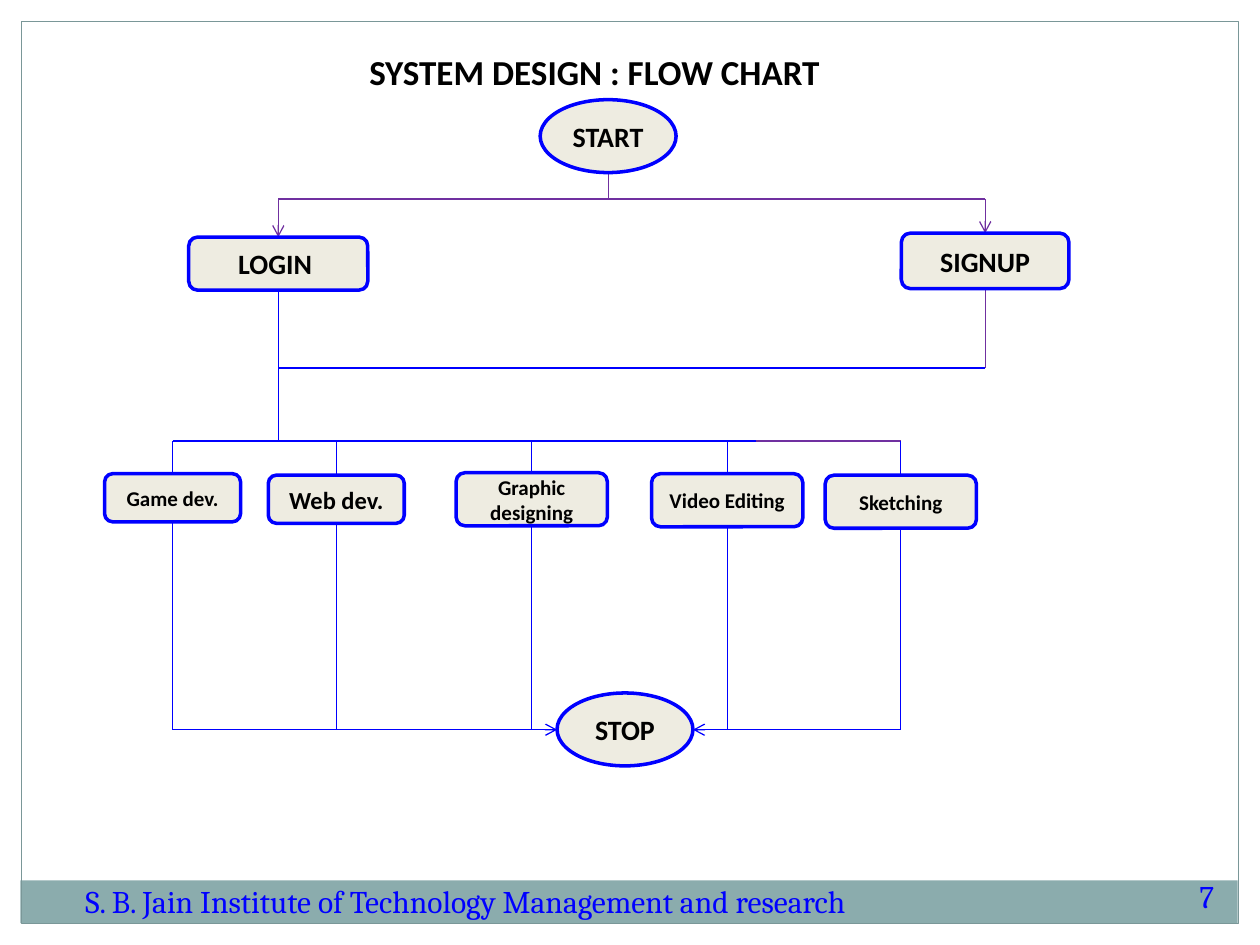
import pptx
import pptx.dml.color
import pptx.enum.shapes
import pptx.enum.text
import pptx.util
from lxml import etree
from pptx.oxml.ns import qn

Cm = pptx.util.Cm
Pt = pptx.util.Pt
SHAPES = pptx.enum.shapes.MSO_SHAPE
ALIGN = pptx.enum.text.PP_ALIGN
ANCHOR = pptx.enum.text.MSO_ANCHOR
BLUE, PURPLE, CREAM, BLACK = "0000FF", "7030A0", "EEECE1", "000000"


def colour(value):
    return pptx.dml.color.RGBColor.from_string(value)


class FlowPage:
    def __init__(self, deck):
        self.page = deck.slides.add_slide(deck.slide_layouts[5])

    def label(self, frame, text, size, font="Calibri", ink=BLACK, bold=True, align=ALIGN.LEFT):
        para = frame.paragraphs[0]
        para.text = text
        para.alignment = align
        para.font.name = font
        para.font.size = Pt(size)
        para.font.bold = bold
        para.font.color.rgb = colour(ink)

    def title(self, text, left, top, width, height):
        box = self.page.shapes.title
        box.left, box.top, box.width, box.height = Cm(left), Cm(top), Cm(width), Cm(height)
        box.text_frame.vertical_anchor = ANCHOR.TOP
        self.label(box.text_frame, text, 20)

    def panel(self, left, top, width, height, fill=None, line=None):
        shape = self.page.shapes.add_shape(
            SHAPES.RECTANGLE, Cm(left), Cm(top), Cm(width), Cm(height))
        shape.shadow.inherit = False
        if fill:
            shape.fill.solid()
            shape.fill.fore_color.rgb = colour(fill)
        else:
            shape.fill.background()
        if line:
            shape.line.color.rgb = colour(line)
            shape.line.width = Pt(0.75)
        else:
            shape.line.fill.background()

    def footer(self, text, left, top, width, wrap=True):
        box = self.page.shapes.add_textbox(Cm(left), Cm(top), Cm(width), Cm(1.02))
        box.text_frame.word_wrap = wrap
        self.label(box.text_frame, text, 18, "Cambria", BLUE, False)

    def node(self, kind, text, centre, top, width, height, size=16):
        shape = self.page.shapes.add_shape(
            kind, Cm(centre - width / 2), Cm(top), Cm(width), Cm(height))
        shape.shadow.inherit = False
        shape.fill.solid()
        shape.fill.fore_color.rgb = colour(CREAM)
        shape.line.color.rgb = colour(BLUE)
        shape.line.width = Pt(2)
        shape.text_frame.word_wrap = True
        shape.text_frame.vertical_anchor = ANCHOR.MIDDLE
        self.label(shape.text_frame, text, size, align=ALIGN.CENTER)

    def line(self, start, end, ink=BLUE, arrow=False):
        connector = self.page.shapes.add_connector(
            pptx.enum.shapes.MSO_CONNECTOR.STRAIGHT,
            Cm(start[0]), Cm(start[1]), Cm(end[0]), Cm(end[1]))
        connector.line.color.rgb = colour(ink)
        connector.line.width = Pt(0.75)
        properties = connector.element.spPr
        if arrow:
            etree.SubElement(properties.get_or_add_ln(), qn("a:tailEnd"), type="arrow")
        etree.SubElement(properties, qn("a:effectLst"))


def main():
    deck = pptx.Presentation()
    deck.slide_width, deck.slide_height = Cm(25.4), Cm(19.05)
    flow = FlowPage(deck)

    flow.panel(0.41, 17.75, 24.54, 0.86, fill="8BACAD")
    flow.panel(0.43, 0.43, 24.54, 18.19, line="7A9798")
    flow.footer("S. B. Jain Institute of Technology Management and research", 1.47, 17.65, 18.62)
    flow.footer("7", 23.93, 17.55, 0.86, wrap=False)
    flow.title("SYSTEM DESIGN : FLOW CHART", 7.19, 0.89, 10.8, 1.12)

    start, login, signup, stop = 12.26, 5.61, 19.86, 12.6
    split, merge, bus, finish = 4.01, 7.42, 8.89, 14.71
    flow.line((start, 3.48), (start, split), PURPLE)
    for centre, top in ((login, 4.78), (signup, 4.7)):
        flow.line((start, split), (centre, split), PURPLE)
        flow.line((centre, split), (centre, top), PURPLE, arrow=True)
    flow.line((signup, 5.82), (signup, merge), PURPLE)
    flow.line((signup, merge), (login, merge))
    flow.line((login, 5.84), (login, bus))

    branches = [
        ("Game dev.", 3.48, 9.55, 2.74, 0.97, 12),
        ("Web dev.", 6.78, 9.58, 2.74, 0.97, 14),
        ("Graphic designing", 10.72, 9.53, 3.05, 1.07, 12),
        ("Video Editing", 14.66, 9.55, 3.05, 1.07, 12),
        ("Sketching", 18.16, 9.58, 3.05, 1.07, 12),
    ]
    first, last = branches[0][1], branches[-1][1]
    flow.line((first, bus), (15.24, bus))
    flow.line((15.24, bus), (last, bus), PURPLE)
    for text, centre, top, width, height, size in branches:
        flow.line((centre, bus), (centre, top))
        flow.line((centre, top + height), (centre, finish))
        flow.node(SHAPES.ROUNDED_RECTANGLE, text, centre, top, width, height, size)
    flow.line((first, finish), (stop - 1.37, finish), arrow=True)
    flow.line((last, finish), (stop + 1.37, finish), arrow=True)

    flow.node(SHAPES.OVAL, "START", start, 2.01, 2.74, 1.47)
    flow.node(SHAPES.ROUNDED_RECTANGLE, "LOGIN ", login, 4.78, 3.61, 1.07)
    flow.node(SHAPES.ROUNDED_RECTANGLE, "SIGNUP", signup, 4.7, 3.38, 1.12)
    flow.node(SHAPES.OVAL, "STOP", stop, 13.97, 2.74, 1.47)
    deck.save("out.pptx")


if __name__ == "__main__":
    main()
